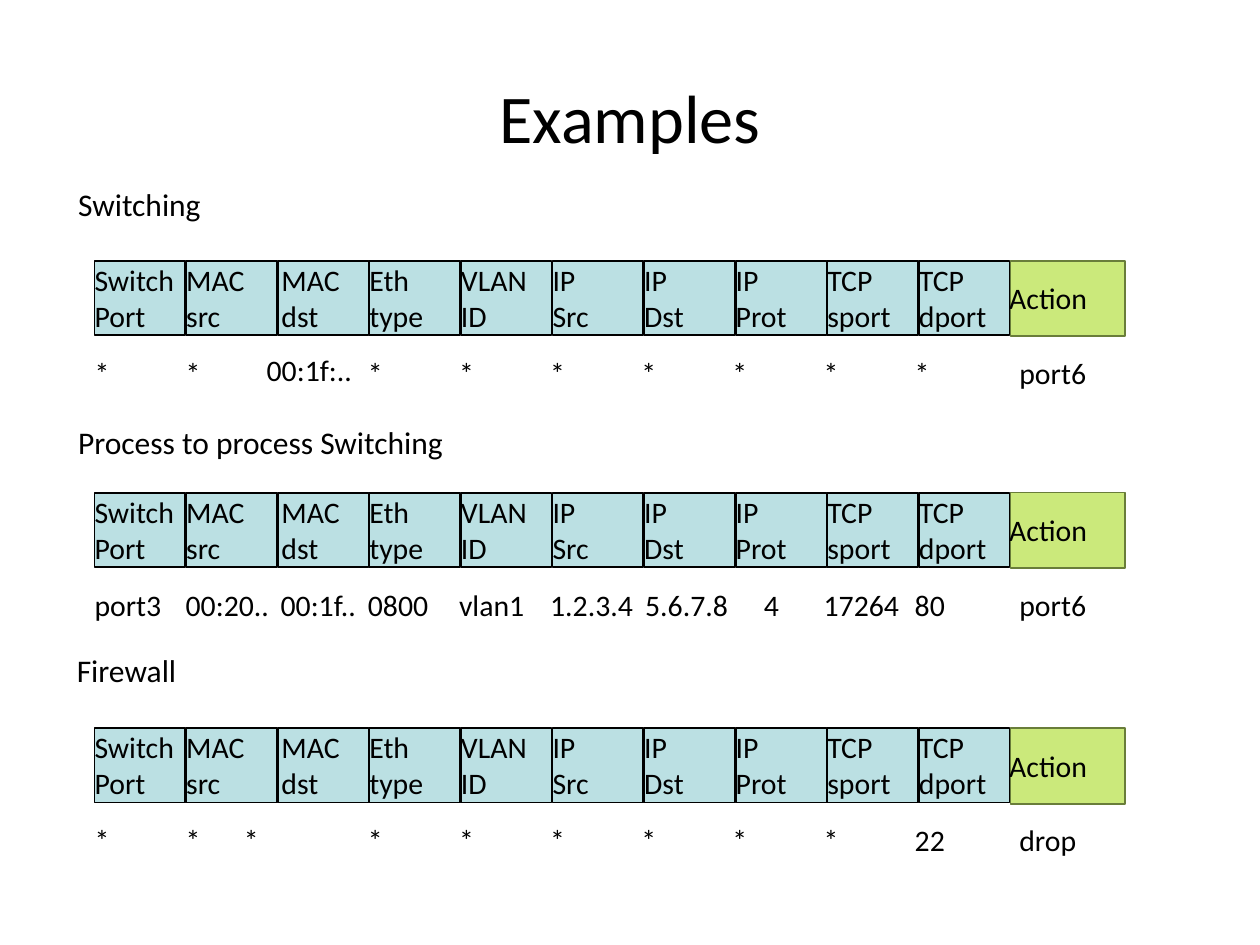
from dataclasses import dataclass, field

from pptx import Presentation
from pptx.dml.color import RGBColor
from pptx.enum.shapes import MSO_SHAPE as Preset
from pptx.enum.text import MSO_ANCHOR as Anchor, MSO_AUTO_SIZE as AutoSize, PP_ALIGN as Align
from pptx.util import Inches, Pt


@dataclass(frozen=True)
class Theme:
    """Colours, font and type sizes of the slide."""
    font: str = "Calibri"
    text: RGBColor = RGBColor(0x00, 0x00, 0x00)
    background: RGBColor = RGBColor(0xFF, 0xFF, 0xFF)
    match_fill: RGBColor = RGBColor(0xBB, 0xE0, 0xE3)
    match_line: RGBColor = RGBColor(0x00, 0x00, 0x00)
    action_fill: RGBColor = RGBColor(0xCB, 0xE9, 0x7B)
    action_line: RGBColor = RGBColor(0x69, 0x7D, 0x3A)
    title_size: int = 39
    heading_size: int = 18
    cell_size: int = 17


@dataclass(frozen=True)
class FlowRule:
    """One example; nudges maps a column to its (right, down, width) change."""
    heading: str
    heading_box: tuple
    table_top: float
    values: list
    action: str
    nudges: dict = field(default_factory=dict)


THEME = Theme()
MATCH_FIELDS = [
    ("Switch", "Port"), ("MAC", "src"), ("MAC", "dst"), ("Eth", "type"), ("VLAN", "ID"),
    ("IP", "Src"), ("IP", "Dst"), ("IP", "Prot"), ("TCP", "sport"), ("TCP", "dport"),
]
TABLE_LEFT = 0.75
FIELD_PITCH = 7.27 / 10
VALUE_PITCH = 6.51 / 9
CELL_WIDTH = 0.72
LINE_HEIGHT = 0.35

RULES = [
    FlowRule("Switching", (0.62, 1.47, 0.98, 0.3), 2.07,
             ["*", "*", "00:1f:.."] + ["*"] * 7, "port6",
             {2: (-0.08, -0.02, 0.52)}),
    FlowRule("Process to process Switching", (0.62, 3.36, 2.93, 0.3), 3.91,
             ["port3", "00:20..", "00:1f..", "0800", "vlan1",
              "1.2.3.4", "5.6.7.8", "4", "17264", "80"], "port6",
             {2: (0.03, 0, 0.23), 6: (0.03, 0, 0), 7: (0.25, 0, 0)}),
    FlowRule("Firewall", (0.61, 5.17, 0.8, 0.3), 5.78,
             ["*"] * 9 + ["22"], "drop",
             {2: (-0.26, 0, 0.52)}),
]


def add_run(paragraph, text, size):
    """Add one run in the theme's font and colour."""
    run = paragraph.add_run()
    run.text = text
    run.font.name = THEME.font
    run.font.size = Pt(size)
    run.font.color.rgb = THEME.text


def add_text(shapes, box, lines, size=THEME.cell_size, wrap=True):
    """Add a text box without insets, one paragraph for each line."""
    frame = shapes.add_textbox(*map(Inches, box)).text_frame
    frame.margin_left = frame.margin_right = frame.margin_top = frame.margin_bottom = 0
    frame.vertical_anchor = Anchor.MIDDLE
    frame.word_wrap = wrap
    frame.auto_size = AutoSize.NONE if wrap else AutoSize.SHAPE_TO_FIT_TEXT
    for index, line in enumerate(lines):
        paragraph = frame.add_paragraph() if index else frame.paragraphs[0]
        add_run(paragraph, line, size)


def add_cell(shapes, box, fill, line):
    """Add one outlined header cell."""
    cell = shapes.add_shape(Preset.RECTANGLE, *map(Inches, box))
    cell.shadow.inherit = False
    cell.fill.solid()
    cell.fill.fore_color.rgb = fill
    cell.line.color.rgb = line
    cell.line.width = Pt(1)


def add_header(slide, left, top):
    """Add the grouped header: ten match fields and the action."""
    shapes = slide.shapes.add_group_shape().shapes
    for column, lines in enumerate(MATCH_FIELDS):
        x = left + column * FIELD_PITCH
        add_cell(shapes, (x, top, CELL_WIDTH, 0.59), THEME.match_fill, THEME.match_line)
        indent = 0.03 if lines == ("MAC", "dst") else 0
        add_text(shapes, (x + indent, top - 0.02, CELL_WIDTH - indent, 0.62), lines)
    x = left + len(MATCH_FIELDS) * FIELD_PITCH
    add_cell(shapes, (x, top, 0.91, 0.6), THEME.action_fill, THEME.action_line)
    add_text(shapes, (x - 0.01, top + 0.12, 0.92, LINE_HEIGHT), ["Action"])


def add_values(slide, left, top, rule):
    """Add the rule's values in one row, ending with its action."""
    for column, value in enumerate(rule.values):
        right, down, wider = rule.nudges.get(column, (0, 0, 0))
        box = (left + column * VALUE_PITCH + right, top + down, CELL_WIDTH + wider, LINE_HEIGHT)
        add_text(slide.shapes, box, [value])
    add_text(slide.shapes, (left + 7.34, top, CELL_WIDTH, LINE_HEIGHT), [rule.action])


def add_example(slide, rule):
    """Add a heading with its header and values below."""
    add_text(slide.shapes, rule.heading_box, [rule.heading], THEME.heading_size, wrap=False)
    add_header(slide, TABLE_LEFT, rule.table_top)
    add_values(slide, TABLE_LEFT, rule.table_top + 0.71, rule)


def add_title(slide, box, text):
    """Place and fill the title placeholder."""
    title = slide.shapes.title
    title.left, title.top, title.width, title.height = map(Inches, box)
    title.text_frame.vertical_anchor = Anchor.MIDDLE
    paragraph = title.text_frame.paragraphs[0]
    paragraph.alignment = Align.CENTER
    add_run(paragraph, text, THEME.title_size)


def build_slide(presentation):
    """Build the slide of flow rule examples."""
    slide = presentation.slides.add_slide(presentation.slide_layouts[5])
    slide.background.fill.solid()
    slide.background.fill.fore_color.rgb = THEME.background
    add_title(slide, (0.5, 0.3, 9, 1.25), "Examples")
    for rule in RULES:
        add_example(slide, rule)


presentation = Presentation()
presentation.slide_width = Inches(10)
presentation.slide_height = Inches(7.5)
build_slide(presentation)
presentation.save("out.pptx")
